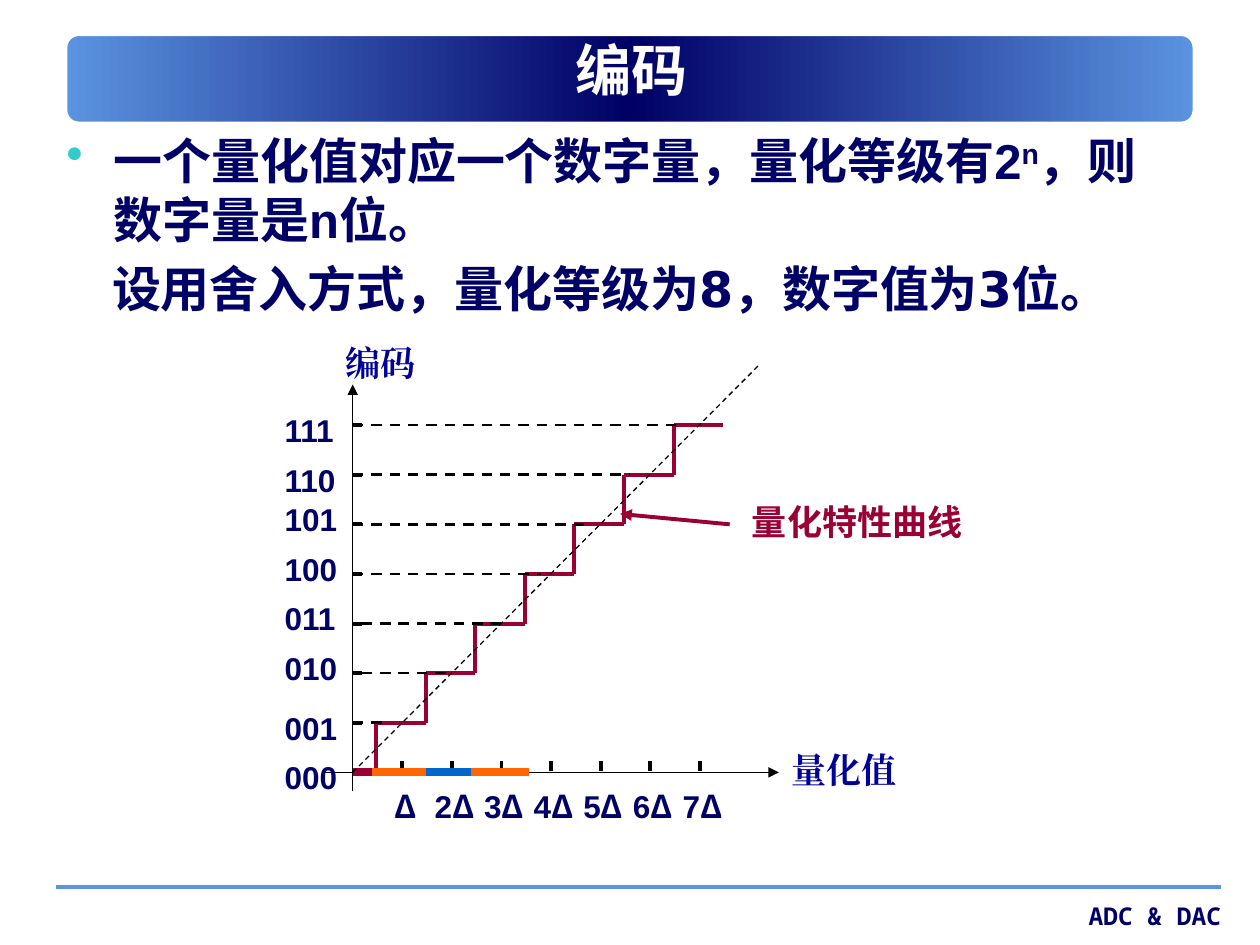
from copy import deepcopy
from pptx import Presentation
from pptx.dml.color import RGBColor as RGB
from pptx.enum.dml import MSO_LINE as Dash
from pptx.enum.shapes import MSO_CONNECTOR as Conn, MSO_SHAPE as Shape
from pptx.enum.text import MSO_ANCHOR as Anchor, PP_ALIGN as Align
from pptx.oxml.ns import qn
from pptx.oxml.xmlchemy import OxmlElement as Elem
from pptx.util import Cm, Pt

NAVY, BLUE, SKY, WINE = "000066", "000099", "5B94E1", "990033"
BLACK, WHITE, TEAL, FLAME, AZURE = "000000", "FFFFFF", "33CCCC", "FF6600", "0066CC"
SANS, CJK = "DejaVu Sans", "Noto Sans CJK KR"


def color(code):
    return RGB.from_string(code)


class Page:
    def __init__(self, deck, font="Arial", ink=NAVY):
        self.slide = deck.slides.add_slide(deck.slide_layouts[6])
        self.shapes = self.slide.shapes
        self.font, self.ink = font, ink

    def banner(self, x, y, w, h):
        box = self.shapes.add_shape(Shape.ROUNDED_RECTANGLE, Cm(x), Cm(y), Cm(w), Cm(h))
        box.shadow.inherit = False
        box.fill.gradient()
        box.fill.gradient_angle = 0
        stops = box._element.spPr.find(".//" + qn("a:gsLst"))
        stops.insert(1, deepcopy(stops[0]))
        for stop, pos, code in zip(box.fill.gradient_stops, (0, 0.5, 1), (SKY, NAVY, SKY)):
            stop.position = pos
            stop.color.rgb = color(code)
        box.line.color.rgb = color(WHITE)
        box.line.width = Pt(5)

    def line(self, x1, y1, x2, y2, code=BLACK, width=2.25, dash=False, arrow=False):
        rule = self.shapes.add_connector(Conn.STRAIGHT, Cm(x1), Cm(y1), Cm(x2), Cm(y2))
        rule.line.color.rgb = color(code)
        rule.line.width = Pt(width)
        if dash:
            rule.line.dash_style = Dash.DASH
        if arrow:
            tip = Elem("a:tailEnd")
            tip.set("type", "triangle")
            rule.line._get_or_add_ln().append(tip)
        rule._element.spPr.append(Elem("a:effectLst"))

    def box(self, x, y, w, h, anchor=Anchor.TOP):
        frame = self.shapes.add_textbox(Cm(x), Cm(y), Cm(w), Cm(h)).text_frame
        frame.word_wrap = True
        frame.vertical_anchor = anchor
        return frame

    def run(self, para, text, size, font=None, code=None, base=0):
        run = para.add_run()
        run.text = text
        run.font.size = Pt(size)
        run.font.bold = True
        run.font.name = font or self.font
        run.font.color.rgb = color(code or self.ink)
        props = run._r.get_or_add_rPr()
        east = Elem("a:ea")
        east.set("typeface", font or self.font)
        props.find(qn("a:latin")).addnext(east)
        if base:
            props.set("baseline", str(base * 1000))

    def label(self, x, y, w, h, runs, size=18, code=None, align=Align.LEFT, anchor=Anchor.TOP):
        para = self.box(x, y, w, h, anchor).paragraphs[0]
        para.alignment = align
        for text, font in runs:
            self.run(para, text, size, font, code)

    def indent(self, para, left, first=0, bullet=None):
        props = para._p.get_or_add_pPr()
        props.set("marL", str(Cm(left)))
        props.set("indent", str(Cm(first)))
        if bullet:
            tint, rgb, mark = Elem("a:buClr"), Elem("a:srgbClr"), Elem("a:buChar")
            rgb.set("val", bullet)
            tint.append(rgb)
            mark.set("char", "•")
            props.extend([tint, mark])


def main():
    deck = Presentation()
    deck.slide_width, deck.slide_height = Cm(25.4), Cm(19.05)
    page = Page(deck)

    # Banner, title and footer
    page.banner(1.27, 0.64, 22.86, 1.9)
    page.line(1.12, 17.88, 24.61, 17.88, SKY, 2)
    page.label(18.85, 18.03, 6.02, 0.84, [("ADC & DAC", "Noto Sans Mono")], 14, align=Align.RIGHT)
    page.label(1.3, 0.53, 22.86, 1.73, [("编码", SANS)], 32, WHITE, Align.CENTER, Anchor.MIDDLE)

    # Body text
    body = page.box(1.09, 2.51, 22.86, 4.19)
    para = body.paragraphs[0]
    page.indent(para, 0.95, -0.95, TEAL)
    for text, font, base in (("一个量化值对应一个数字量，量化等级有", SANS, 0), ("2", None, 0),
                             ("n", None, 30), ("，则数字量是", SANS, 0),
                             ("n", None, 0), ("位。", SANS, 0)):
        page.run(para, text, 28, font, base=base)
    para = body.add_paragraph()
    page.indent(para, 0.92)
    para.space_before = Pt(5.6)
    page.run(para, "设用舍入方式，量化等级为8，数字值为3位。", 28, SANS)

    # Axes: one level is one centimetre on both
    left, base = 7.11, 15.57
    page.line(left, 15.95, left, 7.75, width=0.75, arrow=True)
    page.line(6.5, base, 15.7, base, width=0.75, arrow=True)
    page.label(15.7, 14.96, 3, 1.09, [("量化值", "Times New Roman")], 20, BLUE)
    page.label(6.71, 6.76, 2.21, 1.09, [("编码", "Times New Roman")], 20, BLUE)

    # Ticks and their labels
    for k in range(8):
        lift = 0.2 if 2 <= k <= 5 else 0
        page.label(5.49, 15.16 - k - lift, 1.6, 1.02, [(f"{k:03b}", None)])
        if k == 0:
            continue
        page.line(left, base - k, left + 0.18, base - k)
        page.line(left + k, base - 0.03, left + k, base - 0.23)
        delta = ("Δ", CJK)
        if k == 1:
            page.label(7.7, 15.75, 0.79, 1.02, [delta])
        else:
            page.label(6.51 + k, 15.75, 1.4, 1.02, [(str(k), None), delta])

    # Staircase curve
    for k in range(1, 8):
        x, y = left + k - 0.53, base - k
        page.line(x, y + 1, x, y, WINE)
        page.line(x, y, x + 1, y, WINE)

    # Level guides
    for k, end in enumerate((7.7, 9.09, 10.11, 10.9, 11.91, 12.7, 13.69), 1):
        start = left + 0.18 if k in (2, 3) else left
        page.line(start, base - k, end, base - k, width=1.5, dash=True)

    # Input ranges on the axis
    page.line(left, base, 7.49, base, WINE, 4.5, dash=True)
    for x1, x2, code in ((7.49, 8.71, FLAME), (8.59, 9.58, AZURE), (9.5, 10.67, FLAME)):
        page.line(x1, base, x2, base, code, 4.5)

    # Ideal line and the note on the curve
    page.line(left, base, 15.29, 7.37, width=0.75, dash=True)
    page.label(14.91, 9.96, 5, 1.09, [("量化特性曲线", None)], 20, WINE)
    page.line(14.71, 10.57, 12.5, 10.36, WINE, arrow=True)

    deck.save("out.pptx")


if __name__ == "__main__":
    main()
